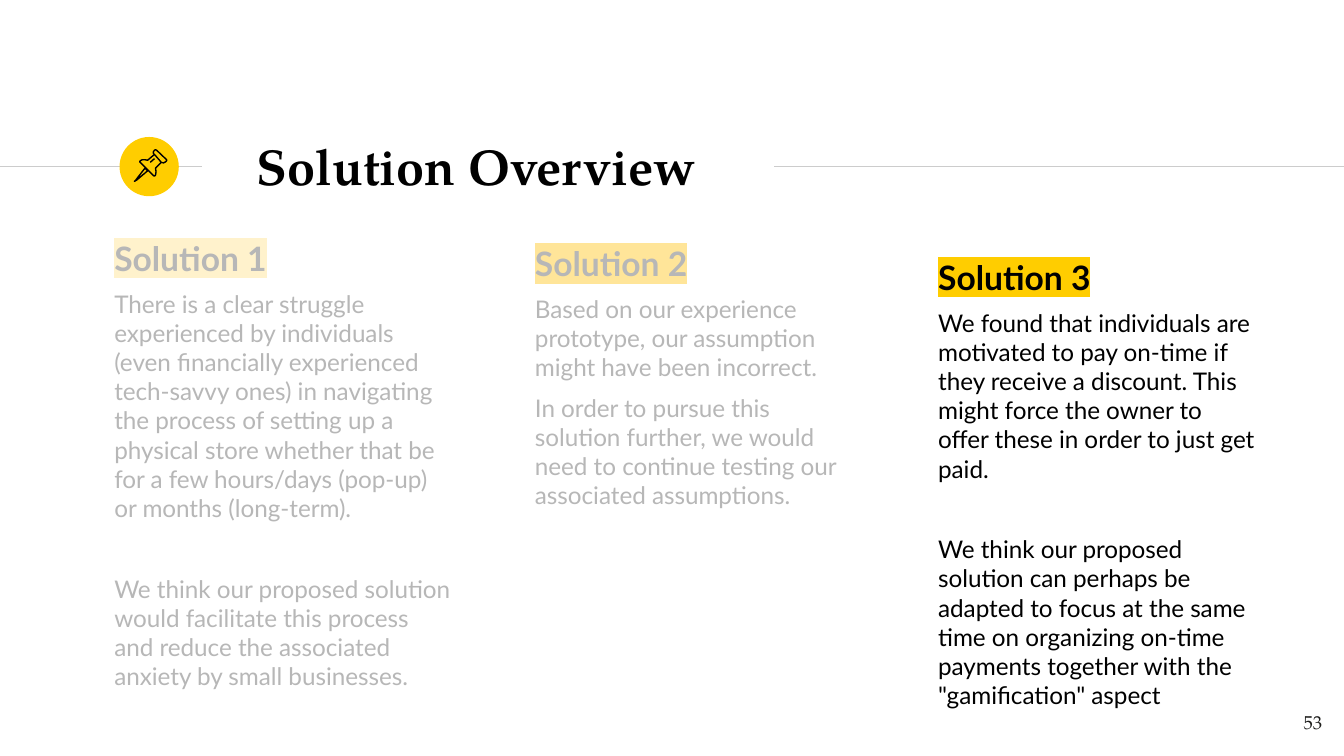
import pptx
import pptx.util
import pptx.dml.color
import pptx.enum.shapes
import pptx.enum.text
import pptx.oxml.ns
from dataclasses import dataclass
from lxml import etree

Cm, Pt = pptx.util.Cm, pptx.util.Pt
ANCHOR = pptx.enum.text.MSO_ANCHOR
ALIGN = pptx.enum.text.PP_ALIGN
qn = pptx.oxml.ns.qn


@dataclass(frozen=True)
class Theme:
    serif: str = "TeX Gyre Pagella"
    sans: str = "Lato"
    ink: str = "000000"
    faded: str = "B7B7B7"
    accent: str = "FFCD00"
    rule: str = "CCCCCC"
    page: str = "1D1D1B"
    title_size: float = 27
    heading_size: float = 18
    text_size: float = 13
    page_size: float = 10
    line_width: float = 0.75
    gap: float = 6
    wide_gap: float = 27.6


THEME = Theme()

# Content; boxes are left, top, width, height in cm
TITLE, TITLE_BOX = "Solution Overview", (4.6, 2.51, 10.77, 1.22)
PAGE, PAGE_BOX = "53", (23.72, 13.18, 1.52, 1.09)
SOLUTIONS = [
    {"heading": "Solution 1", "box": (1.91, 4.24, 6.86, 8.66),
     "color": THEME.faded, "highlight": "FFF2CC", "text": [
         ("There is a clear struggle experienced by individuals (even financially "
          "experienced tech-savvy ones) in navigating the process of setting up a "
          "physical store whether that be for a few hours/days (pop-up) or months "
          "(long-term).", THEME.gap),
         ("We think our proposed solution would facilitate this process and reduce "
          "the associated anxiety by small businesses.", THEME.wide_gap)]},
    {"heading": "Solution 2", "box": (9.86, 4.34, 6.48, 8.66),
     "color": THEME.faded, "highlight": "FFE599", "text": [
         ("Based on our experience prototype, our assumption might have been "
          "incorrect.", THEME.gap),
         ("In order to pursue this solution further, we would need to continue "
          "testing our associated assumptions.", THEME.gap)]},
    {"heading": "Solution 3", "box": (17.48, 4.6, 6.48, 8.66),
     "color": THEME.ink, "highlight": THEME.accent, "text": [
         ("We found that individuals are motivated to pay on-time if they receive a "
          "discount. This might force the owner to offer these in order to just get "
          "paid.", THEME.gap),
         ("We think our proposed solution can perhaps be adapted to focus at the same "
          "time on organizing on-time payments together with the \"gamification\" "
          "aspect", THEME.wide_gap)]},
]
RULE_Y = 3.15
RULES = [(0, 3.81), (14.63, 25.4)]
BADGE_CENTER_X, BADGE_SIZE = 2.82, 1.12

# Pushpin outlines in hundredths of a cm: points, closed
PUSHPIN = [
    ([(274, 318), (257, 340), (254, 343), (259, 340), (279, 323)], True),
    ([(292, 292), (305, 307), (309, 308), (313, 306), (315, 304), (315, 302),
      (296, 284), (294, 283), (292, 284), (290, 287), (290, 290)], True),
    ([(292, 292), (279, 303), (274, 302), (269, 302), (265, 304), (264, 306),
      (290, 332), (292, 333), (294, 331), (295, 325), (294, 318), (305, 307)], False),
    ([(284, 307), (292, 300)], False),
]


def rgb(value):
    return pptx.dml.color.RGBColor.from_string(value)


def apply(target, values):
    for key, value in values.items():
        setattr(target, key, value)


def place(shape, box):
    apply(shape, dict(zip(("left", "top", "width", "height"), map(Cm, box))))


def prepare_frame(frame, anchor):
    margins = ("margin_left", "margin_right", "margin_top", "margin_bottom")
    apply(frame, {**dict.fromkeys(margins, Cm(0.25)), "word_wrap": True,
                  "auto_size": pptx.enum.text.MSO_AUTO_SIZE.NONE,
                  "vertical_anchor": anchor})


def write(paragraph, text, face, size, color, bold=False, before=0,
          align=ALIGN.LEFT, highlight=None):
    properties = paragraph._p.get_or_add_pPr()
    apply(paragraph, {"alignment": align, "space_before": Pt(before)})
    properties.set("marL", "0")
    properties.set("indent", "0")
    etree.SubElement(properties, qn("a:buNone"))
    run = paragraph.add_run()
    run.text = text
    apply(run.font, {"name": face, "size": Pt(size), "bold": bold})
    run.font.color.rgb = rgb(color)
    if highlight:
        mark = etree.Element(qn("a:highlight"))
        etree.SubElement(mark, qn("a:srgbClr")).set("val", highlight)
        run._r.get_or_add_rPr().find(qn("a:solidFill")).addnext(mark)


def set_line(shape, color):
    shape.line.color.rgb = rgb(color)
    shape.line.width = Pt(THEME.line_width)


def main():
    deck = pptx.Presentation()
    apply(deck, {"slide_width": Cm(25.4), "slide_height": Cm(14.29)})
    slide = deck.slides.add_slide(deck.slide_layouts.get_by_name("Comparison"))
    shapes = slide.shapes
    title, *bodies = list(slide.placeholders)

    # Rules and badge
    for start, end in RULES:
        rule = shapes.add_connector(pptx.enum.shapes.MSO_CONNECTOR.STRAIGHT,
                                    Cm(start), Cm(RULE_Y), Cm(end), Cm(RULE_Y))
        set_line(rule, THEME.rule)
        etree.SubElement(rule._element.spPr, qn("a:effectLst"))
    corner = (BADGE_CENTER_X - BADGE_SIZE / 2, RULE_Y - BADGE_SIZE / 2)
    badge = shapes.add_shape(pptx.enum.shapes.MSO_SHAPE.OVAL,
                             *map(Cm, (*corner, BADGE_SIZE, BADGE_SIZE)))
    badge.shadow.inherit = False
    badge.fill.solid()
    badge.fill.fore_color.rgb = rgb(THEME.accent)
    badge.line.fill.background()

    # Title
    place(title, TITLE_BOX)
    prepare_frame(title.text_frame, ANCHOR.MIDDLE)
    write(title.text_frame.paragraphs[0], TITLE, THEME.serif, THEME.title_size,
          THEME.ink, bold=True)

    # Solution columns
    for body, solution in zip(bodies, SOLUTIONS):
        place(body, solution["box"])
        frame = body.text_frame
        prepare_frame(frame, ANCHOR.TOP)
        write(frame.paragraphs[0], solution["heading"], THEME.sans,
              THEME.heading_size, solution["color"], bold=True,
              highlight=solution["highlight"])
        for text, before in solution["text"]:
            write(frame.add_paragraph(), text, THEME.sans, THEME.text_size,
                  solution["color"], before=before)
    for unused in bodies[len(SOLUTIONS):]:
        unused._element.getparent().remove(unused._element)

    # Pushpin icon
    pushpin = shapes.add_group_shape()
    for points, closed in PUSHPIN:
        builder = pushpin.shapes.build_freeform(*points[0], scale=Cm(0.01))
        builder.add_line_segments(points[1:], close=closed)
        outline = builder.convert_to_shape()
        outline.shadow.inherit = False
        outline.fill.background()
        set_line(outline, THEME.ink)

    # Page number
    page = shapes.add_textbox(*map(Cm, PAGE_BOX)).text_frame
    prepare_frame(page, ANCHOR.TOP)
    write(page.paragraphs[0], PAGE, THEME.serif, THEME.page_size, THEME.page,
          align=ALIGN.RIGHT)

    deck.save("out.pptx")


if __name__ == "__main__":
    main()
